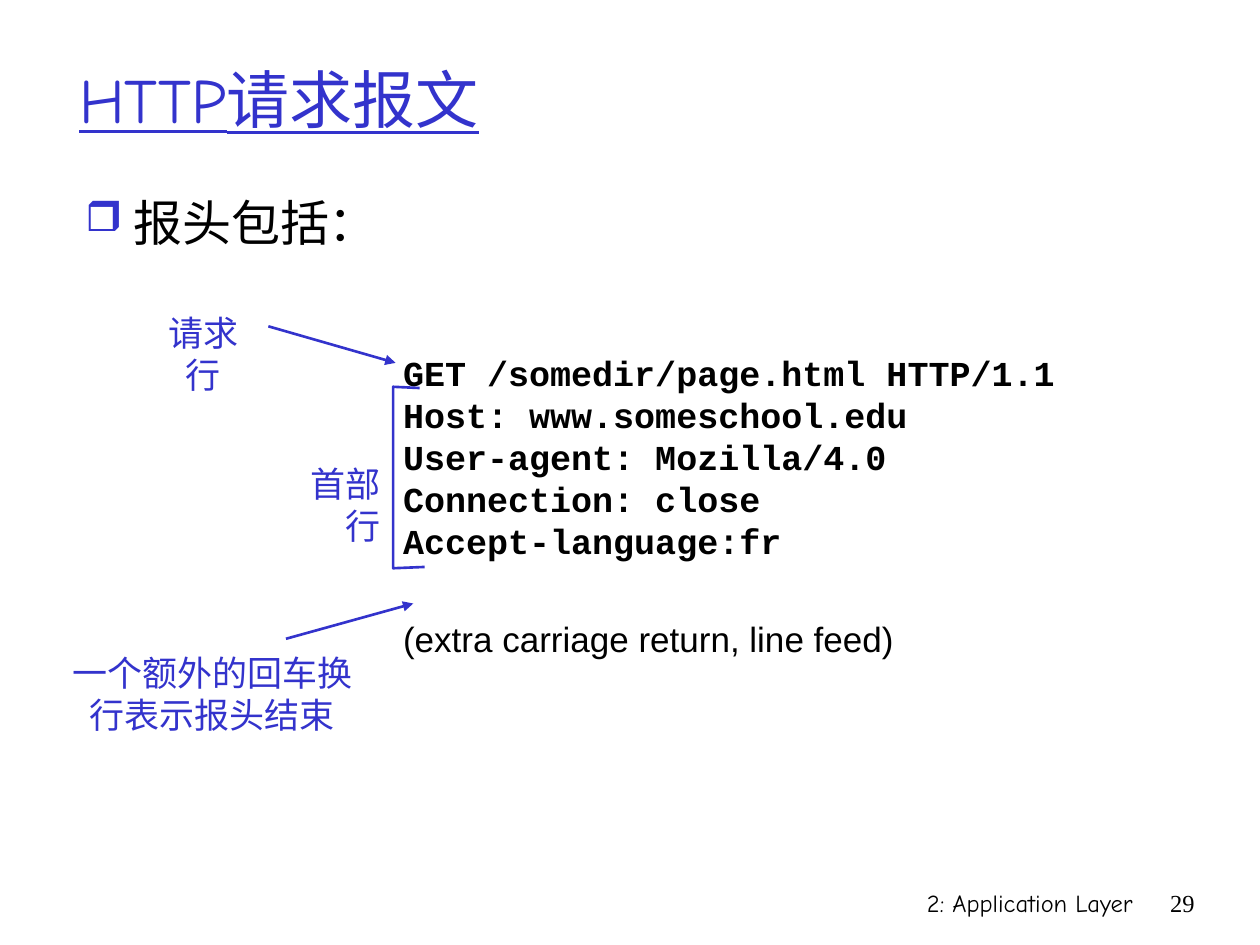
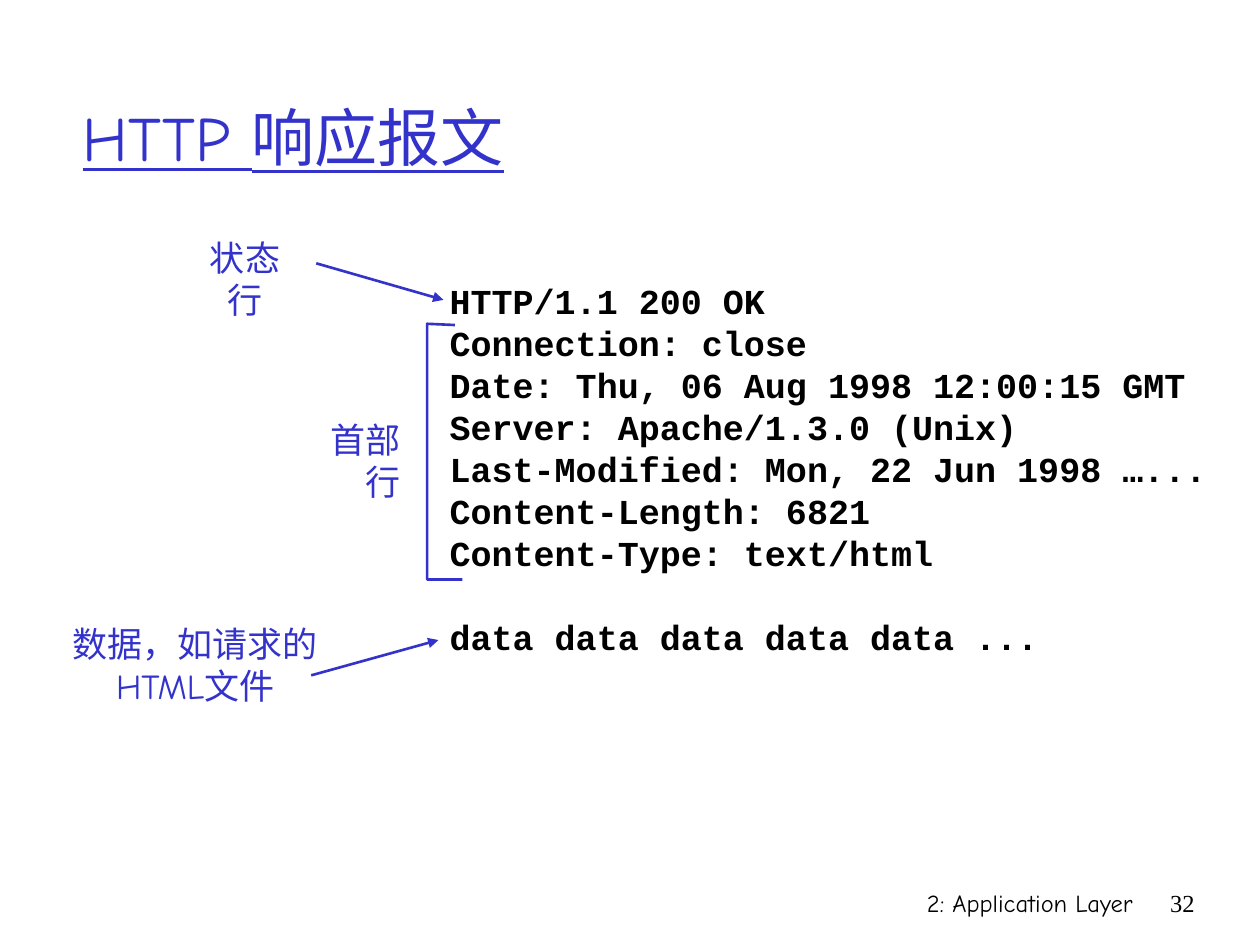
from lxml import etree
from pptx import Presentation
from pptx.dml.color import RGBColor
from pptx.enum.shapes import MSO_CONNECTOR
from pptx.enum.text import MSO_ANCHOR, PP_ALIGN
from pptx.oxml.ns import qn
from pptx.util import Inches, Pt

LEFT, CENTER, RIGHT = PP_ALIGN.LEFT, PP_ALIGN.CENTER, PP_ALIGN.RIGHT
TOP, MIDDLE = MSO_ANCHOR.TOP, MSO_ANCHOR.MIDDLE
STRAIGHT = MSO_CONNECTOR.STRAIGHT

# Shared look
BLUE, BLACK, WHITE = "3333CC", "000000", "FFFFFF"
HAND, MONO, SANS, SERIF = "Comic Neue", "Courier New", "Arial", "Times New Roman"
TITLE_SIZE, BODY_SIZE, NOTE_SIZE, FOOTER_SIZE = 36, 28, 20, 14
LINE_HEIGHT = 1.2
LINE_WIDTH = 1.5

# Grid: 100 columns by 75 rows
COLUMNS, ROWS = 100, 75
CELL = Inches(0.1)
LABEL_WIDTH, LABEL_HEIGHT = 10.3, 4.4
ARROW_RUN = 10.1


def grid(*cells):
    return [round(cell * CELL) for cell in cells]


def colour(value):
    return RGBColor.from_string(value)


def add_text(page, place, lines, size, font=HAND, ink=BLUE, align=LEFT,
             anchor=TOP, wrap=True):
    """Add a text box with one paragraph per line; return its paragraphs."""
    box = page.shapes.add_textbox(*grid(*place))
    frame = box.text_frame
    frame.word_wrap = wrap
    frame.vertical_anchor = anchor
    for index, line in enumerate(lines):
        para = frame.paragraphs[0] if index == 0 else frame.add_paragraph()
        para.alignment = align
        para.line_spacing = Pt(size * LINE_HEIGHT)
        span = para.add_run()
        span.text = line
        span.font.size = Pt(size)
        span.font.name = font
        span.font.color.rgb = colour(ink)
    return frame.paragraphs


def add_title(page, place, text):
    para = add_text(page, place, [text], TITLE_SIZE, anchor=MIDDLE)[0]
    para.runs[0].font.underline = True


def add_footer(page, number):
    add_text(page, (59.2, 70, 31.7, 5), ["2: Application Layer"], FOOTER_SIZE,
             ink=BLACK, align=RIGHT)
    add_text(page, (90.8, 70, 5, 5), [str(number)], FOOTER_SIZE, SERIF, BLACK, RIGHT)


def add_bullet(page, place, text):
    para = add_text(page, place, [text], BODY_SIZE, ink=BLACK)[0]
    settings = para._p.get_or_add_pPr()
    settings.set("marL", str(Inches(0.38)))
    settings.set("indent", str(-Inches(0.38)))
    tint = etree.SubElement(settings, qn("a:buClr"))
    etree.SubElement(tint, qn("a:srgbClr"), val=BLUE)
    etree.SubElement(settings, qn("a:buSzPct"), val="85000")
    etree.SubElement(settings, qn("a:buChar"), char="❒")


def add_message(page, place, lines, gap):
    """Add message lines in bold code type, the last one set apart by a gap."""
    paras = add_text(page, place, lines, NOTE_SIZE, MONO, BLACK, wrap=False)
    for para in paras:
        para.runs[0].font.bold = True
    paras[-1].space_before = Pt(gap)
    return paras[-1]


def add_label(page, left, top, text, align=CENTER):
    add_text(page, (left, top, LABEL_WIDTH, LABEL_HEIGHT), [text], NOTE_SIZE,
             align=align, wrap=False)


def add_note(page, place, lines):
    add_text(page, place, lines, NOTE_SIZE, align=CENTER)


def style_line(line):
    line.color.rgb = colour(BLUE)
    line.width = Pt(LINE_WIDTH)


def add_arrow(page, left, top, drop):
    ends = grid(left, top, left + ARROW_RUN, top + drop)
    arrow = page.shapes.add_connector(STRAIGHT, *ends)
    style_line(arrow.line)
    etree.SubElement(arrow.line._get_or_add_ln(), qn("a:tailEnd"), type="triangle")
    etree.SubElement(arrow._element.spPr, qn("a:effectLst"))


def add_bracket(page, points):
    start, *others = [grid(*point) for point in points]
    builder = page.shapes.build_freeform(*start)
    builder.add_line_segments(others, close=False)
    bracket = builder.convert_to_shape()
    bracket.shadow.inherit = False
    bracket.fill.background()
    style_line(bracket.line)


def add_page(deck, number):
    page = deck.slides.add_slide(deck.slide_layouts[6])
    page.background.fill.solid()
    page.background.fill.fore_color.rgb = colour(WHITE)
    add_footer(page, number)
    return page


def request_page(deck):
    page = add_page(deck, 29)
    add_title(page, (5.3, 2.6, 85, 10.4), "HTTP请求报文")
    add_bullet(page, (5.8, 14.8, 85, 53.6), "报头包括：")
    closing = add_message(page, (31, 27.4, 53.8, 25.7), [
        "GET /somedir/page.html HTTP/1.1",
        "Host: www.someschool.edu",
        "User-agent: Mozilla/4.0",
        "Connection: close",
        "Accept-language:fr",
        "(extra carriage return, line feed)",
    ], gap=32)
    closing.runs[0].font.name = SANS
    closing.runs[0].font.bold = False

    # Parts of the request
    add_label(page, 11, 24.2, "请求行")
    add_arrow(page, 21.3, 25.9, 2.9)
    add_bracket(page, [(33.3, 30.8), (31.2, 30.7), (31.2, 45.1), (33.7, 45)])
    add_label(page, 20.9, 36.2, "首部行", RIGHT)
    add_arrow(page, 22.7, 50.7, -2.8)
    add_note(page, (3.7, 51.2, 26.3, 7.7), ["一个额外的回车换行表示报头结束"])


def response_page(deck):
    page = add_page(deck, 32)
    add_title(page, (5.6, 4.6, 85, 12.5), "HTTP 响应报文")
    add_message(page, (34.7, 21.7, 63.8, 31), [
        "HTTP/1.1 200 OK",
        "Connection: close",
        "Date: Thu, 06 Aug 1998 12:00:15 GMT",
        "Server: Apache/1.3.0 (Unix)",
        "Last-Modified: Mon, 22 Jun 1998 …...",
        "Content-Length: 6821",
        "Content-Type: text/html",
        "data data data data data ...",
    ], gap=24)

    # Parts of the response
    add_label(page, 14.3, 18.3, "状态行")
    add_arrow(page, 25.1, 20.9, 2.9)
    add_bracket(page, [(36.1, 25.8), (33.9, 25.7), (33.9, 46), (36.7, 46)])
    add_label(page, 22.5, 32.7, "首部行", RIGHT)
    add_arrow(page, 24.7, 53.6, -2.8)
    add_note(page, (3.9, 48.9, 23.2, 7.7), ["数据，如请求的", "HTML文件"])


def main():
    deck = Presentation()
    deck.slide_width, deck.slide_height = grid(COLUMNS, ROWS)
    request_page(deck)
    response_page(deck)
    deck.save("out.pptx")


if __name__ == "__main__":
    main()
